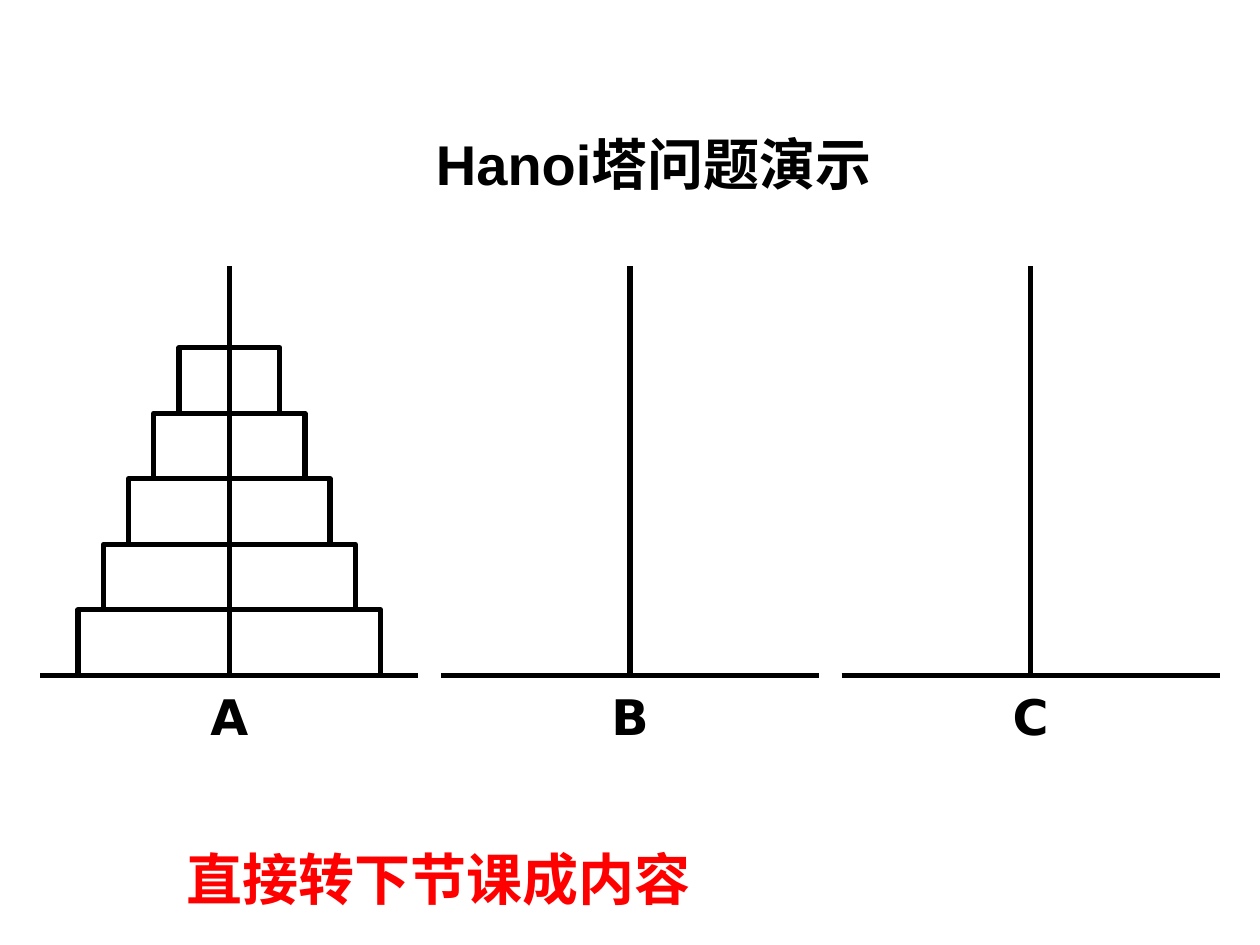
"""Build the Tower of Hanoi slide: three pegs, five disks and a note."""
from lxml.etree import SubElement
from pptx import Presentation
from pptx.dml.color import RGBColor
from pptx.enum.shapes import MSO_CONNECTOR, MSO_SHAPE
from pptx.enum.text import MSO_ANCHOR, MSO_AUTO_SIZE, PP_ALIGN
from pptx.oxml.ns import qn
from pptx.util import Inches, Pt

TITLE = "Hanoi塔问题演示"
NOTE = "直接转下节课成内容"
PEGS = ["A", "B", "C"]
DISKS = [2.4, 2.0, 1.6, 1.2, 0.8]
COLORS = {"ink": "000000", "note": "FF0000"}

WIDE, HIGH = 10, 7.5
MID, STEP = 1.82, 3.18
BASE, TOP = 5.36, 2.11
SPAN, THICK = 3.0, 0.52
LABEL = (0.77, 0.49)


def color(name):
    return RGBColor.from_string(COLORS[name])


def place(shape, left, top, width, height):
    shape.left, shape.top = Inches(left), Inches(top)
    shape.width, shape.height = Inches(width), Inches(height)


def write(shape, text, size, font, ink, align=PP_ALIGN.LEFT):
    frame = shape.text_frame
    frame.text = text
    frame.word_wrap = True
    frame.vertical_anchor = MSO_ANCHOR.TOP
    para = frame.paragraphs[0]
    para.alignment = align
    face = para.runs[0].font
    face.size, face.name, face.bold = Pt(size), font, True
    face.color.rgb = color(ink)
    return para


def stroke(shape):
    shape.line.color.rgb = color("ink")
    shape.line.width = Pt(3)


def draw_line(group, x1, y1, x2, y2):
    line = group.shapes.add_connector(
        MSO_CONNECTOR.STRAIGHT, *map(Inches, (x1, y1, x2, y2)))
    stroke(line)
    SubElement(line._element.spPr, qn("a:effectLst"))


def draw_peg(group, name, mid):
    draw_line(group, mid - SPAN / 2, BASE, mid + SPAN / 2, BASE)
    draw_line(group, mid, BASE, mid, TOP)
    wide, high = LABEL
    box = group.shapes.add_textbox(0, 0, 0, 0)
    place(box, mid - wide / 2, BASE + 0.17, wide, high)
    para = write(box, name, 28, "DejaVu Sans", "ink", PP_ALIGN.CENTER)
    para.line_spacing, para.space_before = Pt(24), Pt(7)


def draw_disk(group, row, wide):
    disk = group.shapes.add_shape(MSO_SHAPE.FLOWCHART_PROCESS, 0, 0, 0, 0)
    place(disk, MID - wide / 2, BASE - (row + 1) * THICK, wide, THICK)
    disk.shadow.inherit = False
    disk.fill.background()
    stroke(disk)


def main():
    deck = Presentation()
    deck.slide_width, deck.slide_height = Inches(WIDE), Inches(HIGH)
    slide = deck.slides.add_slide(deck.slide_layouts[5])

    title = slide.shapes.title
    place(title, 3.36, 0.98, 4.4, 0.64)
    write(title, TITLE, 32, "Arial", "ink")
    title.text_frame.auto_size = MSO_AUTO_SIZE.SHAPE_TO_FIT_TEXT

    for col, name in enumerate(PEGS):
        group = slide.shapes.add_group_shape()
        draw_peg(group, name, MID + col * STEP)
        if col == 0:
            for row, wide in enumerate(DISKS):
                draw_disk(group, row, wide)

    note = slide.shapes.add_textbox(0, 0, 0, 0)
    place(note, 1.38, 6.65, 4.54, 0.64)
    write(note, NOTE, 32, "Arial", "note")
    note.text_frame.auto_size = MSO_AUTO_SIZE.SHAPE_TO_FIT_TEXT

    deck.save("out.pptx")


if __name__ == "__main__":
    main()
